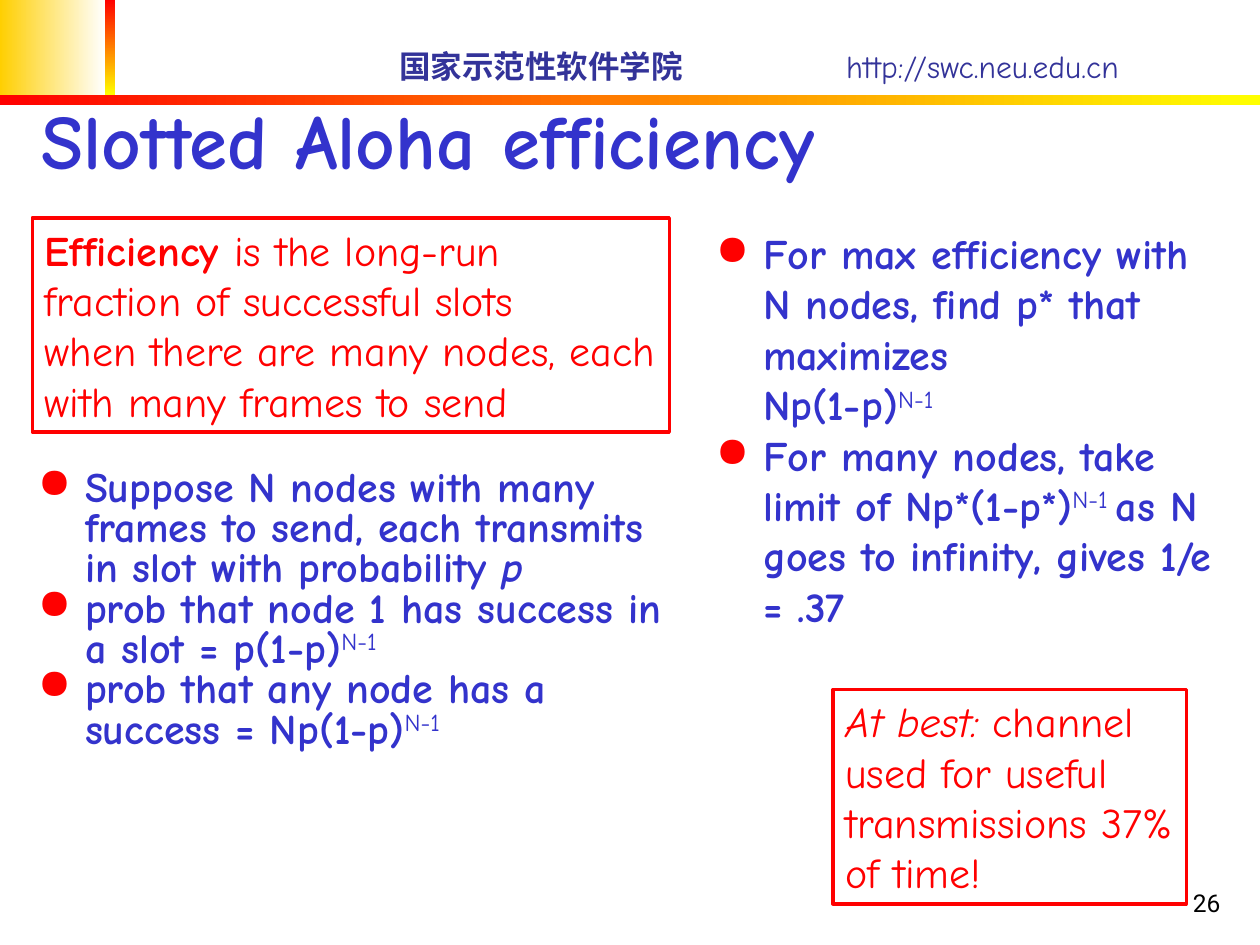
"""Build the slide on slotted Aloha efficiency."""
from lxml.etree import SubElement
from pptx import Presentation
from pptx.dml.color import RGBColor
from pptx.enum.shapes import MSO_SHAPE
from pptx.enum.text import MSO_ANCHOR, PP_ALIGN
from pptx.oxml.ns import qn
from pptx.util import Pt

FONT = "Comic Neue"
RED, YELLOW, GOLD, WHITE = "FF0000", "FFFF00", "FFCF01", "FFFFFF"
BLUE, NAVY, BLACK = "3333CC", "333399", "000000"
BREAK = ("\v", "")

TITLE = [[("Slotted Aloha efficiency", "b")]]
SCHOOL = [[("国家示范性软件学院", "b")]]
SITE = [[("http://swc.neu.edu.cn", "")]]
PAGE_NUMBER = [[("26", "")]]
DEFINITION = [[
    ("Efficiency ", "b"), ("is the long-run ", ""), BREAK,
    ("fraction of successful slots ", ""), BREAK,
    ("when there are many nodes, each with many frames to send", ""),
]]
PROBABILITIES = [
    [("Suppose N nodes with many frames to send, each transmits in slot with probability ", "b"),
     ("p", "bi")],
    [("prob that node 1 has success in a slot = p(1-p)", "b"), ("N-1", "^")],
    [("prob that any node has a success = Np(1-p)", "b"), ("N-1", "^")],
]
LIMITS = [
    [("For max efficiency with N nodes, find p* that maximizes ", "b"), BREAK,
     ("Np(1-p)", "b"), ("N-1", "^")],
    [("For many nodes, take limit of Np*(1-p*)", "b"), ("N-1 ", "^"),
     ("as N goes to infinity, gives 1/e = .37", "b")],
]
CONCLUSION = [
    [("At best: ", "i"), ("channel", "")],
    [("used for useful", "")],
    [("transmissions 37%", "")],
    [("of time!", "")],
]
BANDS = [
    ((0, 0, 60, 54.5), (GOLD, WHITE), 0),
    ((60, 0, 6, 54.5), (RED, YELLOW), 270),
    ((0, 54.5, 720, 5.5), (RED, YELLOW), 0),
]


def rgb(value):
    return RGBColor.from_string(value)


def add_bullet(paragraph):
    properties = paragraph._p.get_or_add_pPr()
    properties.set("marL", str(Pt(27)))
    properties.set("indent", str(-Pt(27)))
    bullet_color = SubElement(properties, qn("a:buClr"))
    SubElement(bullet_color, qn("a:srgbClr"), val=RED)
    SubElement(properties, qn("a:buChar"), char="●")


def write(shape, paragraphs, size, color, font=FONT, anchor=MSO_ANCHOR.TOP,
          align=PP_ALIGN.LEFT, spacing=None, bullets=False, wrap=True):
    frame = shape.text_frame
    frame.word_wrap = wrap
    frame.vertical_anchor = anchor
    for index, runs in enumerate(paragraphs):
        paragraph = frame.add_paragraph() if index else frame.paragraphs[0]
        paragraph.alignment = align
        if spacing:
            paragraph.line_spacing = spacing
        if bullets:
            add_bullet(paragraph)
        for text, style in runs:
            if text == "\v":
                paragraph.add_line_break()
                continue
            run = paragraph.add_run()
            run.text = text
            run.font.name, run.font.size = font, Pt(size)
            run.font.color.rgb = rgb(color)
            run.font.bold, run.font.italic = "b" in style, "i" in style
            if "^" in style:
                run._r.get_or_add_rPr().set("baseline", "30000")


def add_text(slide, box, paragraphs, size, color, **options):
    write(slide.shapes.add_textbox(*map(Pt, box)), paragraphs, size, color, **options)


def add_rectangle(slide, box):
    rectangle = slide.shapes.add_shape(MSO_SHAPE.RECTANGLE, *map(Pt, box))
    rectangle.shadow.inherit = False
    return rectangle


def add_band(slide, box, colors, angle):
    band = add_rectangle(slide, box)
    band.line.fill.background()
    band.fill.gradient()
    band.fill.gradient_angle = angle
    for stop, color in zip(band.fill.gradient_stops, colors):
        stop.color.rgb = rgb(color)


def add_callout(slide, box, paragraphs, wrap=True):
    callout = add_rectangle(slide, box)
    callout.fill.background()
    callout.line.color.rgb = rgb(RED)
    callout.line.width = Pt(2)
    write(callout, paragraphs, 24, RED, wrap=wrap)


def main():
    deck = Presentation()
    deck.slide_width, deck.slide_height = Pt(720), Pt(540)
    slide = deck.slides.add_slide(deck.slide_layouts[5])
    for band in BANDS:
        add_band(slide, *band)

    title = slide.shapes.title
    title.left, title.top, title.width, title.height = map(Pt, (16.5, 19.5, 612, 90))
    write(title, TITLE, 44, BLUE, anchor=MSO_ANCHOR.BOTTOM)

    add_text(slide, (221, 23, 200, 29), SCHOOL, 18, NAVY, anchor=MSO_ANCHOR.MIDDLE)
    add_text(slide, (476.5, 23, 227, 29), SITE, 18, NAVY, anchor=MSO_ANCHOR.MIDDLE)
    add_text(slide, (554.5, 492, 150, 36), PAGE_NUMBER, 14, BLACK, font="Roboto",
             anchor=MSO_ANCHOR.BOTTOM, align=PP_ALIGN.RIGHT)
    add_text(slide, (14.5, 265, 379, 246), PROBABILITIES, 24, BLUE, spacing=0.8, bullets=True)
    add_text(slide, (402, 126.5, 300, 249), LIMITS, 24, BLUE, bullets=True)
    add_callout(slide, (18.5, 124.5, 364, 122.5), DEFINITION)
    add_callout(slide, (476, 394, 202, 122.5), CONCLUSION, wrap=False)
    deck.save("out.pptx")


if __name__ == "__main__":
    main()
